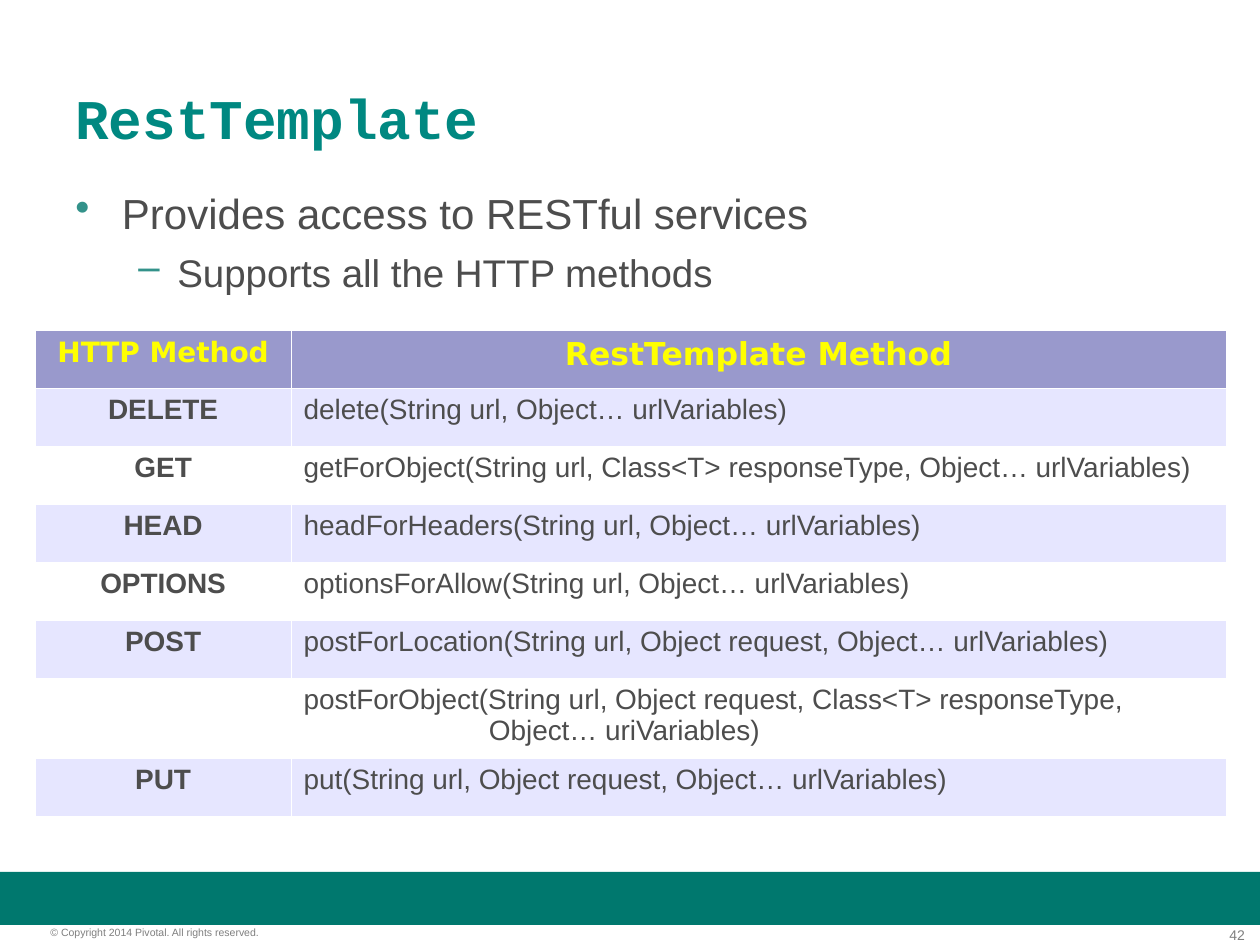
from lxml.etree import SubElement
from pptx import Presentation
from pptx.dml.color import RGBColor
from pptx.enum.shapes import MSO_SHAPE
from pptx.enum.text import MSO_ANCHOR, PP_ALIGN
from pptx.oxml.ns import qn
from pptx.util import Inches, Pt

GREY, SMALL_GREY, TEAL = "4D4D4D", "7F7F7F", "008881"


def color(hex_string):
    return RGBColor.from_string(hex_string)


def write(paragraph, text, size, face, ink, bold=False, align=PP_ALIGN.LEFT):
    paragraph.text = text
    paragraph.alignment = align
    paragraph.font.color.rgb = color(ink)
    for name, value in {"size": Pt(size), "name": face, "bold": bold}.items():
        setattr(paragraph.font, name, value)


deck = Presentation()
deck.slide_width, deck.slide_height = Inches(10), Inches(7.5)
slide = deck.slides.add_slide(deck.slide_layouts[6])

# Footer band
band = slide.shapes.add_shape(
    MSO_SHAPE.RECTANGLE, 0, Inches(6.92), deck.slide_width, Inches(0.42))
band.shadow.inherit = False
band.fill.solid()
band.fill.fore_color.rgb = color("00786E")
band.line.fill.background()

# Text areas: place, margins (sides, top and bottom), anchor, paragraphs
footer_margins, main_margins = (0, 0), (0.1, 0.05)
areas = [
    ((9.3, 7.35, 0.58, 0.13), footer_margins, MSO_ANCHOR.TOP,
     [("42", 8, "Arial", SMALL_GREY, False, PP_ALIGN.RIGHT)]),
    ((0.4, 7.35, 2.49, 0.1), footer_margins, MSO_ANCHOR.TOP,
     [("© Copyright 2014 Pivotal. All rights reserved.", 6, "Arial", SMALL_GREY)]),
    ((0.5, 0.61, 9, 0.64), main_margins, MSO_ANCHOR.MIDDLE,
     [("RestTemplate", 32, "Courier New", TEAL, True)]),
    ((0.5, 1.44, 9, 1.1), main_margins, MSO_ANCHOR.TOP,
     [("Provides access to RESTful services", 24, "Arial", GREY),
      ("Supports all the HTTP methods", 22, "Arial", GREY)]),
]
for place, (side, edge), anchor, lines in areas:
    frame = slide.shapes.add_textbox(*map(Inches, place)).text_frame
    layout = {"word_wrap": True, "vertical_anchor": anchor,
              "margin_left": Inches(side), "margin_right": Inches(side),
              "margin_top": Inches(edge), "margin_bottom": Inches(edge)}
    for name, value in layout.items():
        setattr(frame, name, value)
    for number, line in enumerate(lines):
        paragraph = frame.add_paragraph() if number else frame.paragraphs[0]
        write(paragraph, *line)
body = frame

# Bullets of the body, the last area
levels = [("•", 0.37, -0.37), ("–", 0.81, -0.31)]
for level, (paragraph, (mark, left, hang)) in enumerate(zip(body.paragraphs, levels)):
    paragraph.level = level
    if level:
        paragraph.space_before = Pt(6)
    properties = paragraph._p.get_or_add_pPr()
    properties.set("marL", str(Inches(left)))
    properties.set("indent", str(Inches(hang)))
    bullet_color = properties.makeelement(qn("a:buClr"), {})
    SubElement(bullet_color, qn("a:srgbClr"), val="33928A")
    bullet = properties.makeelement(qn("a:buChar"), {"char": mark})
    for element in (bullet_color, bullet):
        properties.find(qn("a:defRPr")).addprevious(element)

# Methods table; \v is a line break
methods = [
    ("HTTP Method", "RestTemplate Method"),
    ("DELETE", "delete(String url, Object… urlVariables)"),
    ("GET", "getForObject(String url, Class<T> responseType, Object… urlVariables)"),
    ("HEAD", "headForHeaders(String url, Object… urlVariables)"),
    ("OPTIONS", "optionsForAllow(String url, Object… urlVariables)"),
    ("POST", "postForLocation(String url, Object request, Object… urlVariables)"),
    ("", "postForObject(String url, Object request, Class<T> responseType,\v"
         "Object… uriVariables)"),
    ("PUT", "put(String url, Object request, Object… urlVariables)"),
]
row_height, tall_row, columns = 0.46, 0.64, (2.03, 7.42)
table = slide.shapes.add_table(
    len(methods), len(columns), Inches(0.28), Inches(2.62),
    Inches(sum(columns)), Inches(row_height * 7 + tall_row)).table
for column, width in zip(table.columns, columns):
    column.width = Inches(width)
for row, entries in enumerate(methods):
    wrapped = "\v" in entries[1]
    table.rows[row].height = Inches(tall_row if wrapped else row_height)
    shade = "9999CC" if row == 0 else "E6E6FF" if row % 2 else "FFFFFF"
    for col, entry in enumerate(entries):
        cell = table.cell(row, col)
        for side in ("L", "R", "T", "B"):
            border = SubElement(cell._tc.get_or_add_tcPr(), qn("a:ln" + side),
                                w=str(Pt(0.06)))
            SubElement(SubElement(border, qn("a:solidFill")),
                       qn("a:srgbClr"), val="FFFFFF")
        cell.fill.solid()
        cell.fill.fore_color.rgb = color(shade)
        paragraph = cell.text_frame.paragraphs[0]
        if row == 0:
            write(paragraph, entry, 16 + 2 * col, "DejaVu Sans", "FFFF00",
                  True, PP_ALIGN.CENTER)
        else:
            write(paragraph, entry, 16, "Arial", GREY, col == 0,
                  PP_ALIGN.LEFT if col else PP_ALIGN.CENTER)
        if wrapped and col:
            properties = paragraph._p.get_or_add_pPr()
            properties.set("marL", str(Inches(1.47)))
            properties.set("indent", str(Inches(-1.47)))

deck.save("out.pptx")
